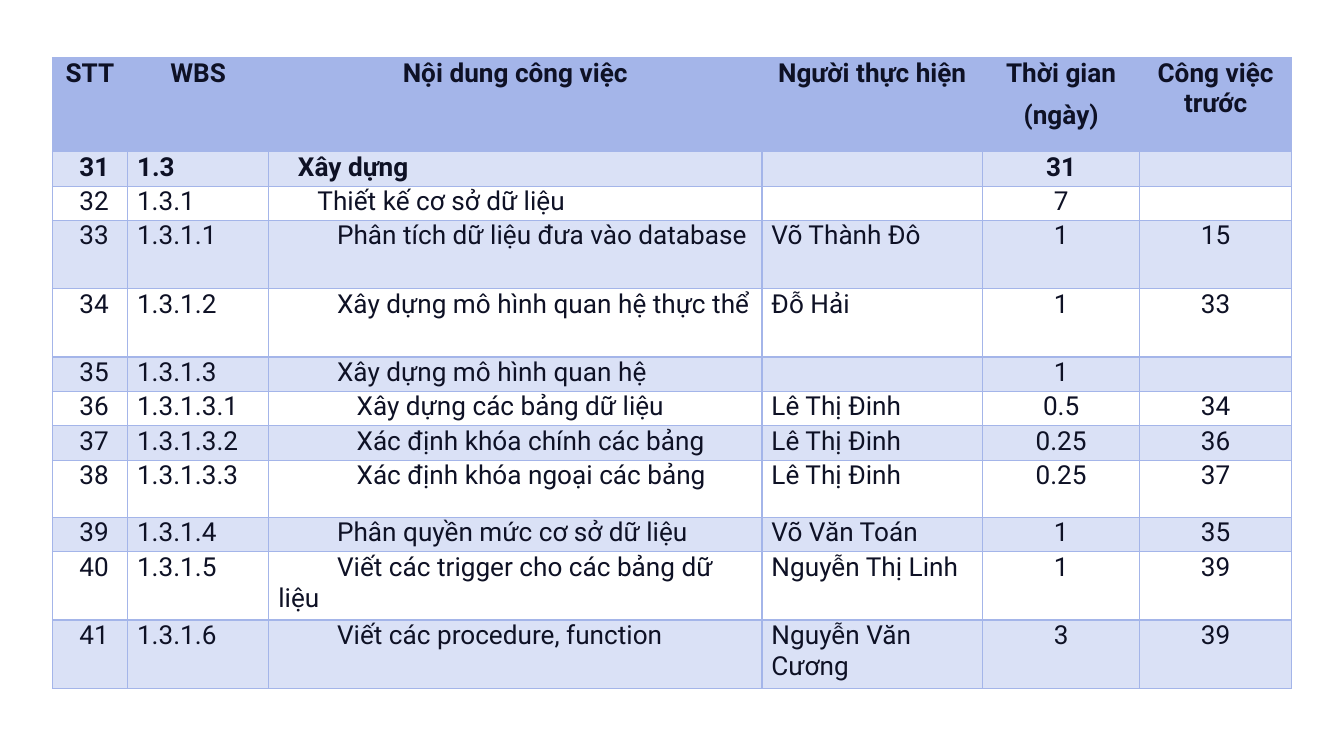
import pptx
import pptx.util
import pptx.dml.color
import pptx.enum.text
import pptx.oxml.ns
import lxml.etree

Cm = pptx.util.Cm
Pt = pptx.util.Pt
CENTER = pptx.enum.text.PP_ALIGN.CENTER
LEFT = pptx.enum.text.PP_ALIGN.LEFT
COLORS = {"text": "0E1125", "accent": "A4B5E9"}
LEVEL_INDENT = 0.37
NUMBER_INDENT = 0.33

COLUMN_WIDTHS = [1.42, 2.67, 9.32, 4.17, 2.97, 2.87]
HEADER_HEIGHT = 1.78
SINGLE, MEDIUM, DOUBLE = 0.65, 1.08, 1.29
HEADERS = ["STT", "WBS", "Nội dung công việc", "Người thực hiện",
           "Thời gian\n(ngày)", "Công việc trước"]
FIRST_NUMBER = 31
TASKS = [
    (SINGLE, "1.3", "Xây dựng", "", "31", ""),
    (SINGLE, "1.3.1", "Thiết kế cơ sở dữ liệu", "", "7", ""),
    (DOUBLE, "1.3.1.1", "Phân tích dữ liệu đưa vào database", "Võ Thành Đô", "1", "15"),
    (DOUBLE, "1.3.1.2", "Xây dựng mô hình quan hệ thực thể", "Đỗ Hải", "1", "33"),
    (SINGLE, "1.3.1.3", "Xây dựng mô hình quan hệ", "", "1", ""),
    (SINGLE, "1.3.1.3.1", "Xây dựng các bảng dữ liệu", "Lê Thị Đinh", "0.5", "34"),
    (SINGLE, "1.3.1.3.2", "Xác định khóa chính các bảng", "Lê Thị Đinh", "0.25", "36"),
    (MEDIUM, "1.3.1.3.3", "Xác định khóa ngoại các bảng", "Lê Thị Đinh", "0.25", "37"),
    (SINGLE, "1.3.1.4", "Phân quyền mức cơ sở dữ liệu", "Võ Văn Toán", "1", "35"),
    (DOUBLE, "1.3.1.5", "Viết các trigger cho các bảng dữ liệu", "Nguyễn Thị Linh", "1", "39"),
    (DOUBLE, "1.3.1.6", "Viết các procedure, function", "Nguyễn Văn Cương", "3", "39"),
]


class SlideBuilder:
    def __init__(self, slide, font_name="Roboto", font_size=14, border_width=0.75):
        self.slide = slide
        self.font_name = font_name
        self.font_size = Pt(font_size)
        self.border_width = Pt(border_width)

    def color(self, name):
        return pptx.dml.color.RGBColor.from_string(COLORS[name])

    def element(self, parent, tag, **attributes):
        child = lxml.etree.SubElement(parent, pptx.oxml.ns.qn(tag))
        for name, value in attributes.items():
            child.set(name, str(value))
        return child

    def table(self, left, top, widths, heights):
        frame = self.slide.shapes.add_table(
            len(heights), len(widths), Cm(left), Cm(top),
            Cm(sum(widths)), Cm(sum(heights)))
        table = frame.table
        table.first_row = False
        table.horz_banding = False
        for column, width in zip(table.columns, widths):
            column.width = Cm(width)
        for row, height in zip(table.rows, heights):
            row.height = Cm(height)
        return table

    def cell(self, cell, text, alignment=LEFT, bold=False, indent=0, opacity=100):
        cell.margin_left = cell.margin_right = Cm(0.18)
        cell.margin_top = cell.margin_bottom = 0
        cell.text = text
        for index, paragraph in enumerate(cell.text_frame.paragraphs):
            paragraph.alignment = alignment
            paragraph.space_before = Pt(6 if index else 0)
            paragraph.font.name = self.font_name
            paragraph.font.size = self.font_size
            paragraph.font.bold = bold
            paragraph.font.color.rgb = self.color("text")
            if indent:
                paragraph._p.get_or_add_pPr().set("indent", str(Cm(indent)))
            if not text:
                self.element(paragraph._p, "a:endParaRPr", sz=int(self.font_size.pt * 100))
        self.borders(cell)
        self.fill(cell, opacity)

    def borders(self, cell):
        properties = cell._tc.get_or_add_tcPr()
        for side in ("a:lnL", "a:lnR", "a:lnT", "a:lnB"):
            line = self.element(properties, side, w=self.border_width)
            fill = self.element(line, "a:solidFill")
            self.element(fill, "a:srgbClr", val=COLORS["accent"])

    def fill(self, cell, opacity):
        if not opacity:
            cell.fill.background()
            return
        cell.fill.solid()
        cell.fill.fore_color.rgb = self.color("accent")
        if opacity < 100:
            color = cell._tc.tcPr.find(pptx.oxml.ns.qn("a:solidFill"))[0]
            self.element(color, "a:alpha", val=opacity * 1000)


def main():
    presentation = pptx.Presentation()
    presentation.slide_width = Cm(25.4)
    presentation.slide_height = Cm(14.29)
    slide = presentation.slides.add_slide(presentation.slide_layouts[6])
    builder = SlideBuilder(slide)

    heights = [HEADER_HEIGHT] + [task[0] for task in TASKS]
    table = builder.table(0.99, 1.09, COLUMN_WIDTHS, heights)
    for column, title in enumerate(HEADERS):
        builder.cell(table.cell(0, column), title, CENTER, bold=True)

    for row, (height, code, *details) in enumerate(TASKS, start=1):
        values = [str(FIRST_NUMBER + row - 1), code, *details]
        indents = [NUMBER_INDENT, 0, LEVEL_INDENT * min(code.count("."), 4), 0, 0, 0]
        for column, (value, indent) in enumerate(zip(values, indents)):
            builder.cell(table.cell(row, column), value,
                         CENTER if column >= 4 else LEFT,
                         bold=row == 1, indent=indent,
                         opacity=40 if row % 2 else 0)

    presentation.save("out.pptx")


if __name__ == "__main__":
    main()
